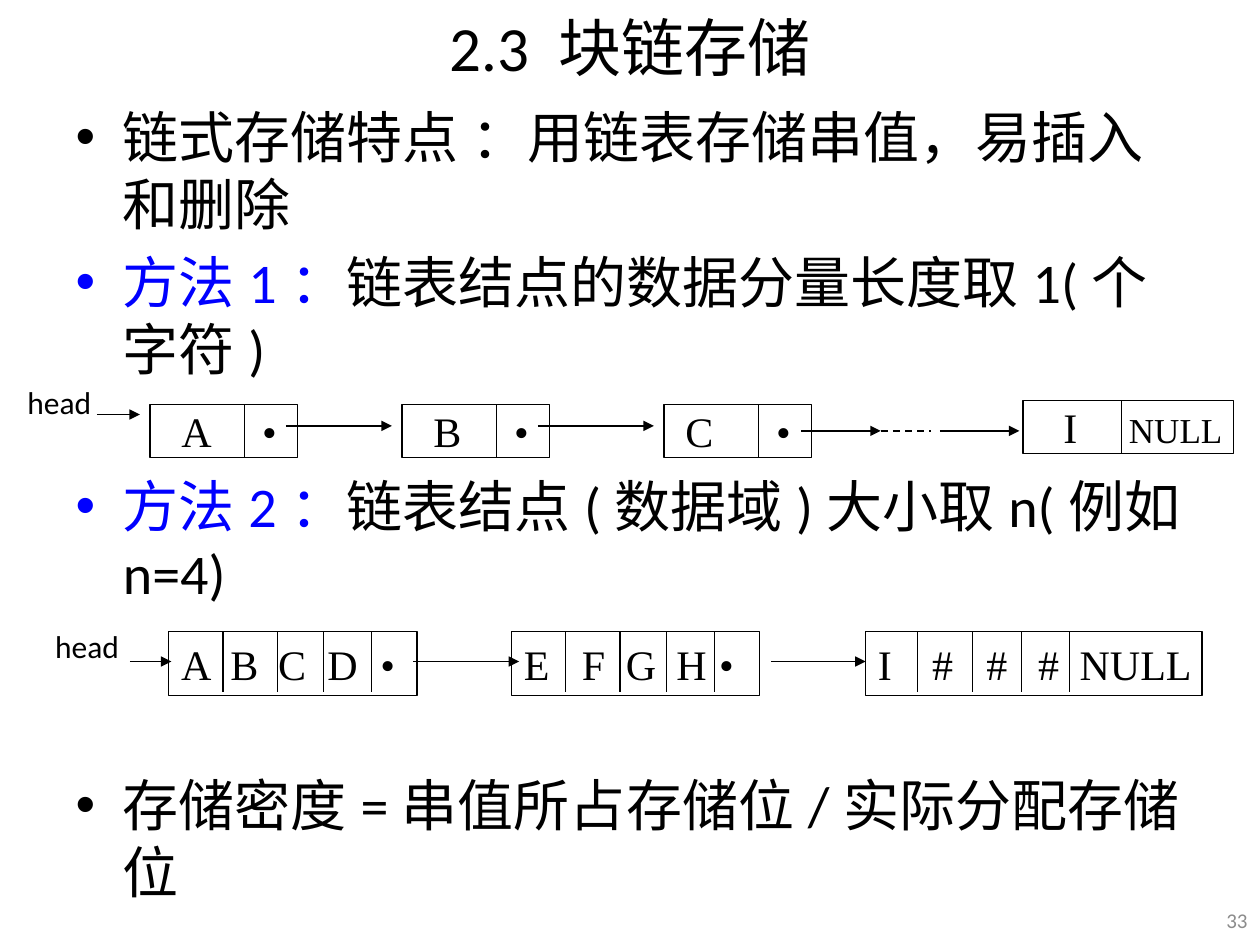
from lxml import etree
from pptx import Presentation
from pptx.dml.color import RGBColor
from pptx.enum.dml import MSO_LINE
from pptx.enum.shapes import MSO_CONNECTOR, MSO_SHAPE
from pptx.enum.text import MSO_ANCHOR, MSO_AUTO_SIZE, PP_ALIGN
from pptx.oxml.ns import qn
from pptx.util import Inches, Pt

BLACK = RGBColor(0x00, 0x00, 0x00)
BLUE = RGBColor(0x00, 0x00, 0xFF)
GREY = RGBColor(0x8C, 0x8C, 0x8C)
SANS, SERIF = "Calibri", "Times New Roman"
RECT, STRAIGHT, DASH = MSO_SHAPE.RECTANGLE, MSO_CONNECTOR.STRAIGHT, MSO_LINE.DASH
TOP, MIDDLE = MSO_ANCHOR.TOP, MSO_ANCHOR.MIDDLE
LEFT, CENTER, RIGHT = PP_ALIGN.LEFT, PP_ALIGN.CENTER, PP_ALIGN.RIGHT
NO_FIT = MSO_AUTO_SIZE.NONE


class SlideBuilder:
    def __init__(self, slide):
        self.slide = slide
        self.shapes = slide.shapes

    def run(self, p, text, size, font=SANS, color=BLACK):
        r = p.add_run()
        r.text = text
        r.font.size = Pt(size)
        r.font.name = font
        r.font.color.rgb = color

    def place(self, sp, left, top, width, height):
        sp.left, sp.top = Inches(left), Inches(top)
        sp.width, sp.height = Inches(width), Inches(height)
        sp.text_frame.auto_size = NO_FIT

    def title(self, text, box):
        sp = self.shapes.title
        self.place(sp, *box)
        tf = sp.text_frame
        tf.vertical_anchor = MIDDLE
        p = tf.paragraphs[0]
        p.alignment = CENTER
        self.run(p, text, 36)

    def bullets(self, items, box):
        sp = self.slide.placeholders[1]
        self.place(sp, *box)
        tf = sp.text_frame
        for i, (space, runs) in enumerate(items):
            p = tf.paragraphs[0] if i == 0 else tf.add_paragraph()
            p.space_before = Pt(space)
            for text, color in runs:
                self.run(p, text, 32, color=color)

    def label(self, text, box, size, color=BLACK, align=LEFT, anchor=TOP):
        sp = self.shapes.add_textbox(*map(Inches, box))
        tf = sp.text_frame
        tf.word_wrap = True
        tf.vertical_anchor = anchor
        p = tf.paragraphs[0]
        p.alignment = align
        self.run(p, text, size, color=color)

    def line(self, x1, y1, x2, y2, width=0.75, arrow=False, dash=None):
        cn = self.shapes.add_connector(STRAIGHT, *map(Inches, (x1, y1, x2, y2)))
        cn.line.color.rgb = BLACK
        cn.line.width = Pt(width)
        if dash:
            cn.line.dash_style = dash
        if arrow:
            etree.SubElement(cn.line._get_or_add_ln(), qn("a:tailEnd"), type="triangle")
        etree.SubElement(cn._element.spPr, qn("a:effectLst"))

    def node(self, box, dividers, divider_height, starts, runs):
        left, top, width, height = box
        sp = self.shapes.add_shape(RECT, *map(Inches, box))
        sp.shadow.inherit = False
        sp.fill.background()
        sp.line.color.rgb = BLACK
        sp.line.width = Pt(0.75)
        tf = sp.text_frame
        tf.word_wrap = True
        tf.vertical_anchor = MIDDLE
        tf.margin_left = Inches(starts[0])
        tf.margin_right = tf.margin_top = tf.margin_bottom = 0
        p = tf.paragraphs[0]
        p.alignment = LEFT
        tabs = etree.SubElement(p._p.get_or_add_pPr(), qn("a:tabLst"))
        for start in starts[1:]:
            etree.SubElement(tabs, qn("a:tab"), pos=str(Inches(start - starts[0])), algn="l")
        for text, size in runs:
            self.run(p, text, size, SERIF)
        for x in dividers:
            self.line(left + x, top, left + x, top + divider_height)


def main():
    prs = Presentation()
    prs.slide_width, prs.slide_height = Inches(10), Inches(7.5)
    s = SlideBuilder(prs.slides.add_slide(prs.slide_layouts[1]))

    s.title("2.3 块链存储", (0.5, -0.03, 9, 0.79))
    s.bullets([
        (6.4, [("链式存储特点 ：用链表存储串值，易插入和删除", BLACK)]),
        (6.4, [("方法1：", BLUE), ("链表结点的数据分量长度取1(个字符)", BLACK)]),
        (51, [("方法2：", BLUE), ("链表结点(数据域)大小取n(例如n=4)", BLACK)]),
        (94, [("存储密度=串值所占存储位/实际分配存储位", BLACK)]),
    ], (0.5, 0.76, 9, 6.74))
    s.label("33", (9.57, 7.1, 0.43, 0.4), 12, GREY, RIGHT, MIDDLE)

    s.label("head", (0.12, 2.99, 0.94, 0.4), 18)
    for left, letter, start in ((1.19, "A", 0.25), (3.19, "B", 0.25), (5.27, "C", 0.17)):
        s.node((left, 3.21, 1.17, 0.42), [0.75], 0.42, [start, 0.89], [(letter + "\t•", 24)])
    s.node((8.12, 3.18, 1.67, 0.42), [0.78], 0.42, [0.32, 0.84], [("I\t", 24), ("NULL", 20)])
    for x1, x2, y in ((0.77, 1.11, 3.29), (2.27, 3.11, 3.38), (4.27, 5.19, 3.38),
                      (6.36, 6.99, 3.42), (7.46, 8.09, 3.42)):
        s.line(x1, y, x2, y, arrow=True)
    s.line(6.99, 3.42, 7.39, 3.42, width=1, dash=DASH)

    s.label("head", (0.34, 4.93, 0.94, 0.4), 18)
    block_dividers = [0.43, 0.86, 1.23, 1.61]
    for left, width, dividers, starts, cells in (
        (1.34, 1.97, block_dividers, [0.1, 0.49, 0.87, 1.26, 1.68], "A B C D •"),
        (4.06, 1.97, block_dividers, [0.1, 0.56, 0.91, 1.31, 1.65], "E F G H •"),
        (6.87, 2.67, [0.41, 0.85, 1.24, 1.62], [0.1, 0.53, 0.96, 1.37, 1.7], "I # # # NULL"),
    ):
        text = "\t".join(cells.split())
        s.node((left, 5.01, width, 0.51), dividers, 0.48, starts, [(text, 24)])
    for x1, x2 in ((1.03, 1.36), (3.28, 4.12), (6.12, 6.87)):
        s.line(x1, 5.25, x2, 5.25, arrow=True)

    prs.save("out.pptx")


if __name__ == "__main__":
    main()
